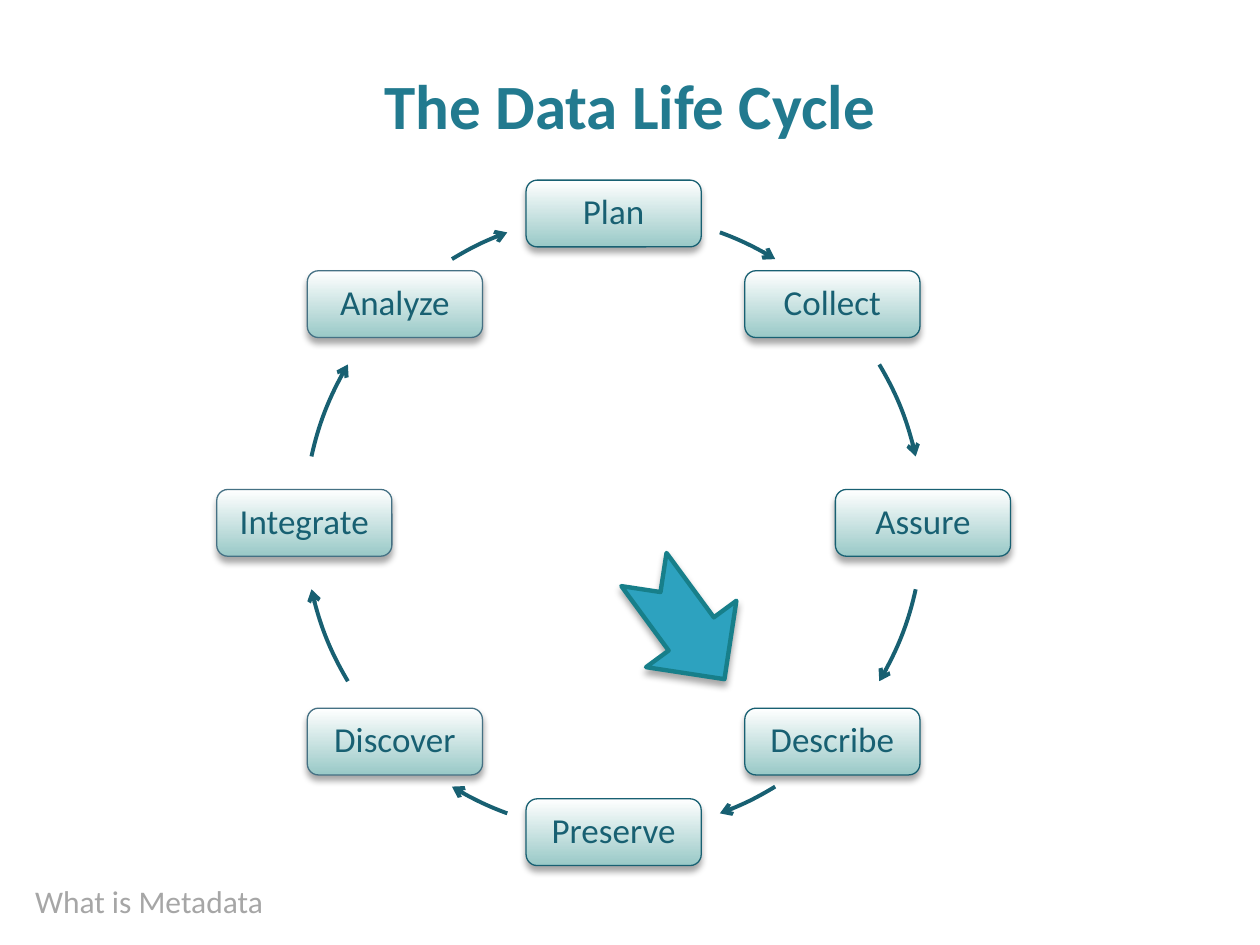
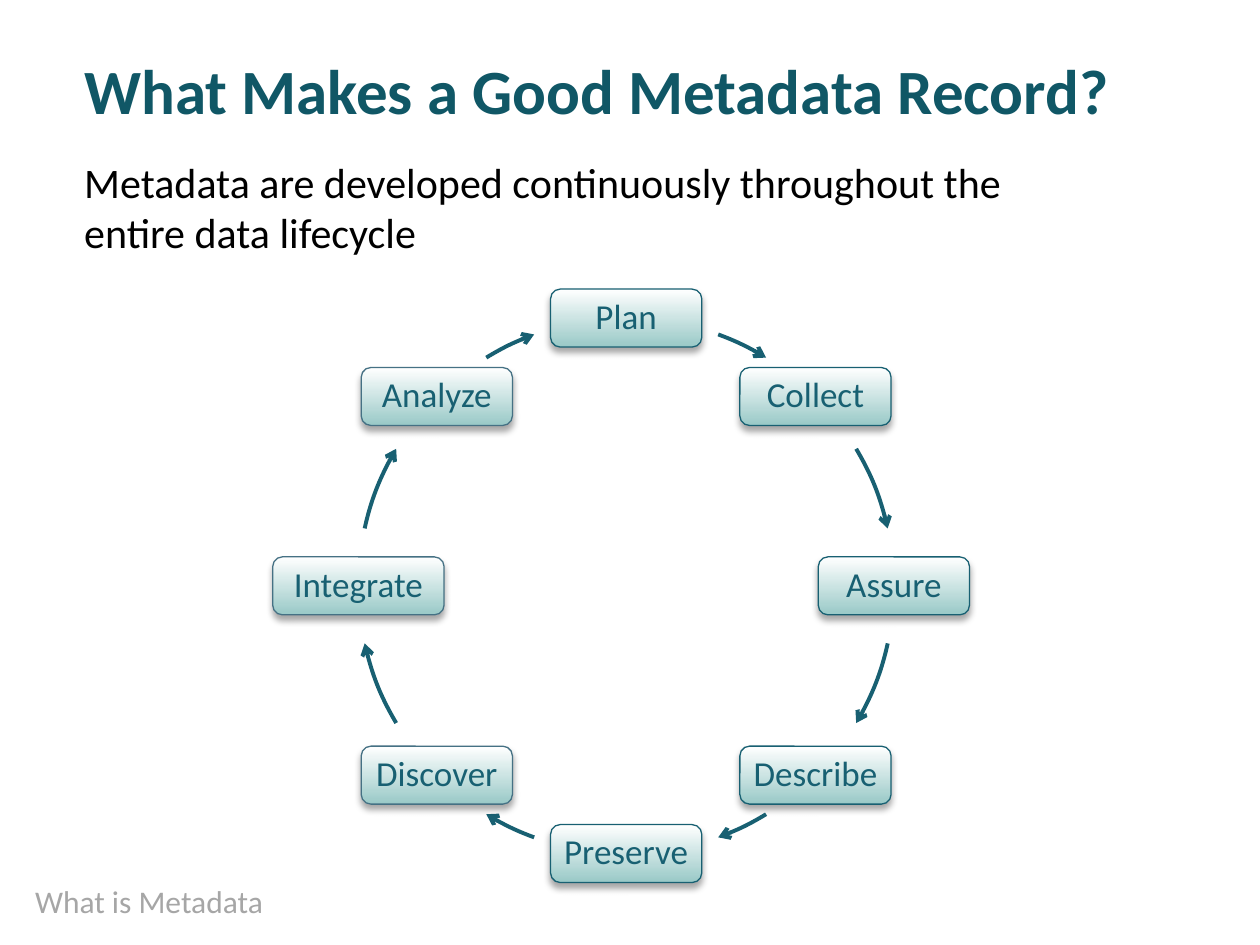
from math import cos, radians, sin

from lxml.etree import SubElement
from pptx import Presentation
from pptx.dml.color import RGBColor
from pptx.enum.shapes import MSO_SHAPE as SHAPE
from pptx.enum.text import MSO_ANCHOR as ANCHOR, PP_ALIGN as ALIGN
from pptx.oxml.ns import qn
from pptx.util import Inches, Pt

# Shared look
FONT = "Calibri"
TEAL, MUTED_TEAL = "186072", "457184"
STAGES = ["Plan", "Collect", "Assure", "Describe",
          "Preserve", "Discover", "Integrate", "Analyze"]
# Clockwise degrees from the top; the second half turn repeats the first
HALF_TURN = [(20.1, 31.5), (59.2, 77.6), (102.4, 120.8), (148.5, 159.9)]
ARROW_SPANS = HALF_TURN + [(a + 180, b + 180) for a, b in HALF_TURN]


def write(shape, text, size=20, color=TEAL, bold=False, align=ALIGN.LEFT,
          anchor=ANCHOR.TOP, inset=(0.1, 0.05), spacing=None):
    frame = shape.text_frame
    frame.word_wrap = True
    frame.vertical_anchor = anchor
    frame.margin_left = frame.margin_right = Inches(inset[0])
    frame.margin_top = frame.margin_bottom = Inches(inset[1])
    frame.text = text
    for paragraph in frame.paragraphs:
        paragraph.alignment = align
        paragraph.line_spacing = spacing
        font = paragraph.font
        font.name, font.size, font.bold = FONT, Pt(size), bold
        font.color.rgb = RGBColor.from_string(color)


def outline(shape, color, width, shadow=True):
    shape.line.color.rgb = RGBColor.from_string(color)
    shape.line.width = Pt(width)
    shape.shadow.inherit = False
    if shadow:
        effects = shape._element.spPr.find(qn("a:effectLst"))
        outer = SubElement(effects, qn("a:outerShdw"), blurRad=str(Pt(4)),
                           dist=str(Pt(3)), dir="5400000", rotWithShape="0")
        black = SubElement(outer, qn("a:srgbClr"), val="000000")
        SubElement(black, qn("a:alpha"), val="35000")


deck = Presentation()
deck.slide_width, deck.slide_height = Inches(10), Inches(7.5)

# What differs between the slides: title, place and size of the cycle
pages = [
    dict(title="The Data Life Cycle", title_at=(0, 0.44, 10, 0.77),
         color="227A8F", align=ALIGN.CENTER,
         center=(4.87, 4.15), radius=2.455, box=(1.39, 0.53), wide=1.39),
    dict(title="What Makes a Good Metadata Record?",
         title_at=(0.57, 0.08, 9.43, 1.25), color="105766", align=ALIGN.LEFT,
         center=(4.97, 4.65), radius=2.125, box=(1.2, 0.46), wide=1.36),
]
slides = []
for page in pages:
    slide = deck.slides.add_slide(deck.slide_layouts[6])
    slides.append(slide)

    # Footer and title
    footer = slide.shapes.add_textbox(*map(Inches, (0.18, 6.95, 4.18, 0.4)))
    write(footer, "What is Metadata", size=18, color="A6A6A6")
    title = slide.shapes.add_textbox(*map(Inches, page["title_at"]))
    write(title, page["title"], size=36, color=page["color"], bold=True,
          align=page["align"], anchor=ANCHOR.MIDDLE)

    # Life cycle: stages every 45 degrees, each followed by an arrow
    center_x, center_y = page["center"]
    radius = page["radius"]
    for step, (stage, span) in enumerate(zip(STAGES, ARROW_SPANS)):
        angle = radians(45 * step)
        width, height = page["box"]
        if stage == "Integrate":
            width = page["wide"]
        left = center_x + radius * sin(angle) - width / 2
        top = center_y - radius * cos(angle) - height / 2
        box = slide.shapes.add_shape(SHAPE.ROUNDED_RECTANGLE, *map(
            Inches, (left, top, width, height)))
        box.fill.gradient()
        box.fill.gradient_angle = 270
        for stop, shade in zip(box.fill.gradient_stops, ("FFFFFF", "99C9C7")):
            stop.color.rgb = RGBColor.from_string(shade)
        outline(box, MUTED_TEAL if step > 4 else TEAL, 0.75)
        write(box, stage, align=ALIGN.CENTER, anchor=ANCHOR.MIDDLE,
              inset=(0.08, 0.02), spacing=0.9)

        arrow = slide.shapes.add_shape(SHAPE.ARC, *map(Inches, (
            center_x - radius, center_y - radius, 2 * radius, 2 * radius)))
        for end, degrees in enumerate(span):
            # Arc angles start at three o'clock, in 60000ths of a degree
            arrow.adjustments[end] = (degrees - 90) % 360 * 0.6
        arrow.fill.background()
        outline(arrow, TEAL, 2.25, shadow=False)
        SubElement(arrow.line._get_or_add_ln(), qn("a:tailEnd"), type="arrow")

# Pointer to the Describe stage
pointer = slides[0].shapes.add_shape(
    SHAPE.NOTCHED_RIGHT_ARROW, *map(Inches, (4.89, 4.51, 1.08, 0.89)))
pointer.rotation = 53.7
pointer.fill.solid()
pointer.fill.fore_color.rgb = RGBColor.from_string("2DA2BF")
outline(pointer, "177F8A", 2.5)

# Statement above the second cycle
statement = slides[1].shapes.add_textbox(*map(Inches, (0.57, 1.19, 9.25, 1.12)))
write(statement, "Metadata are developed continuously throughout the\n"
      "entire data lifecycle", size=24, color="000000")

deck.save("out.pptx")
